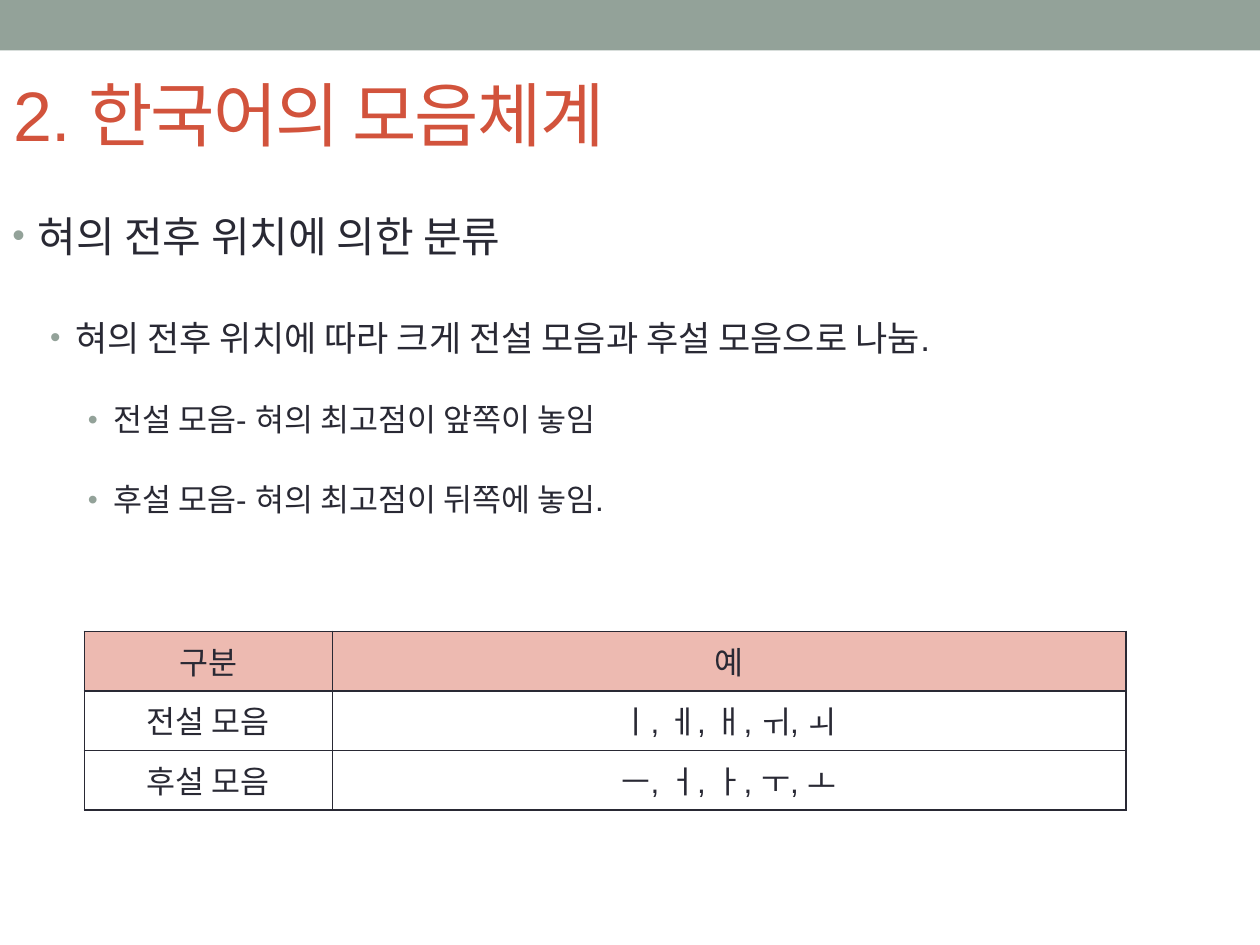
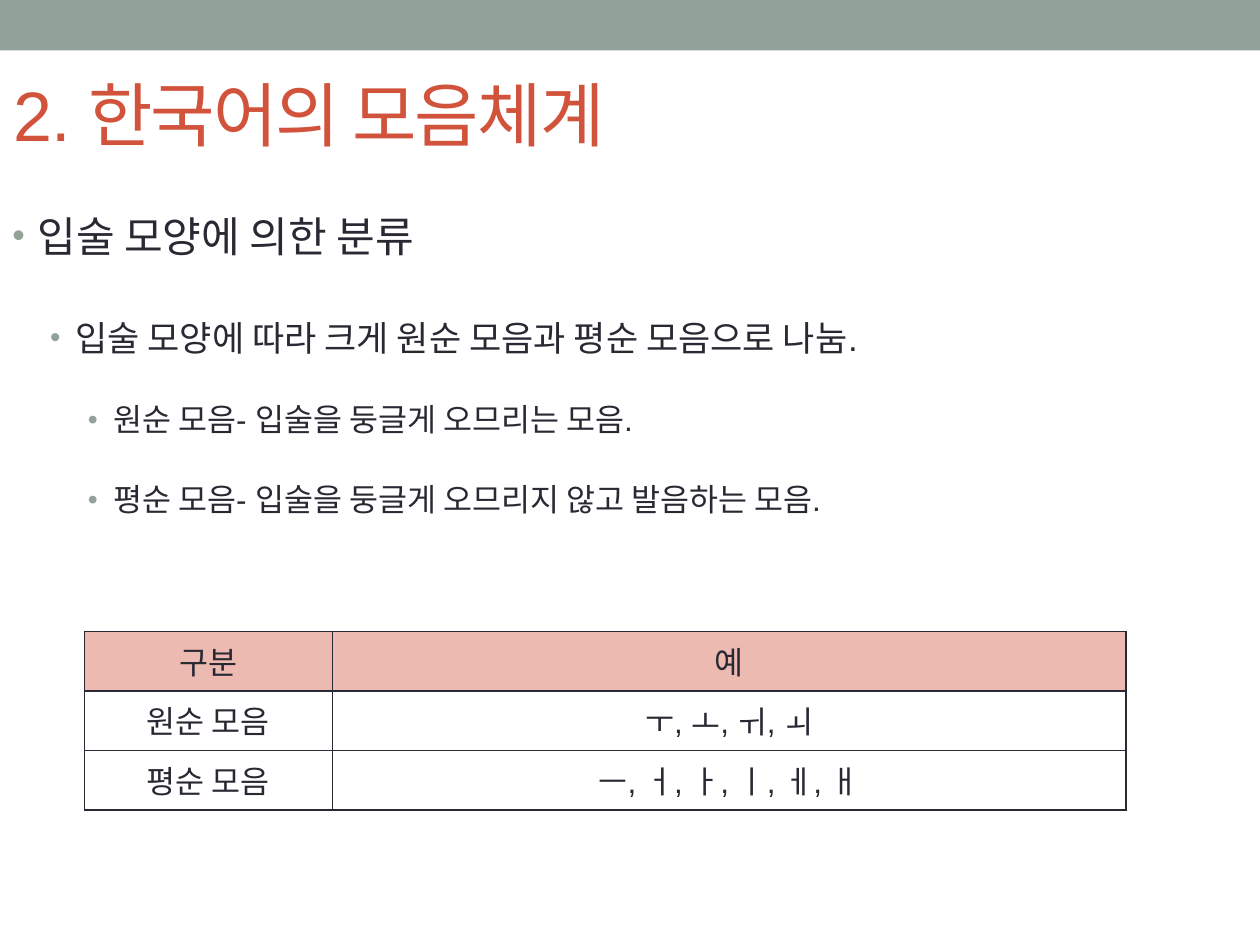
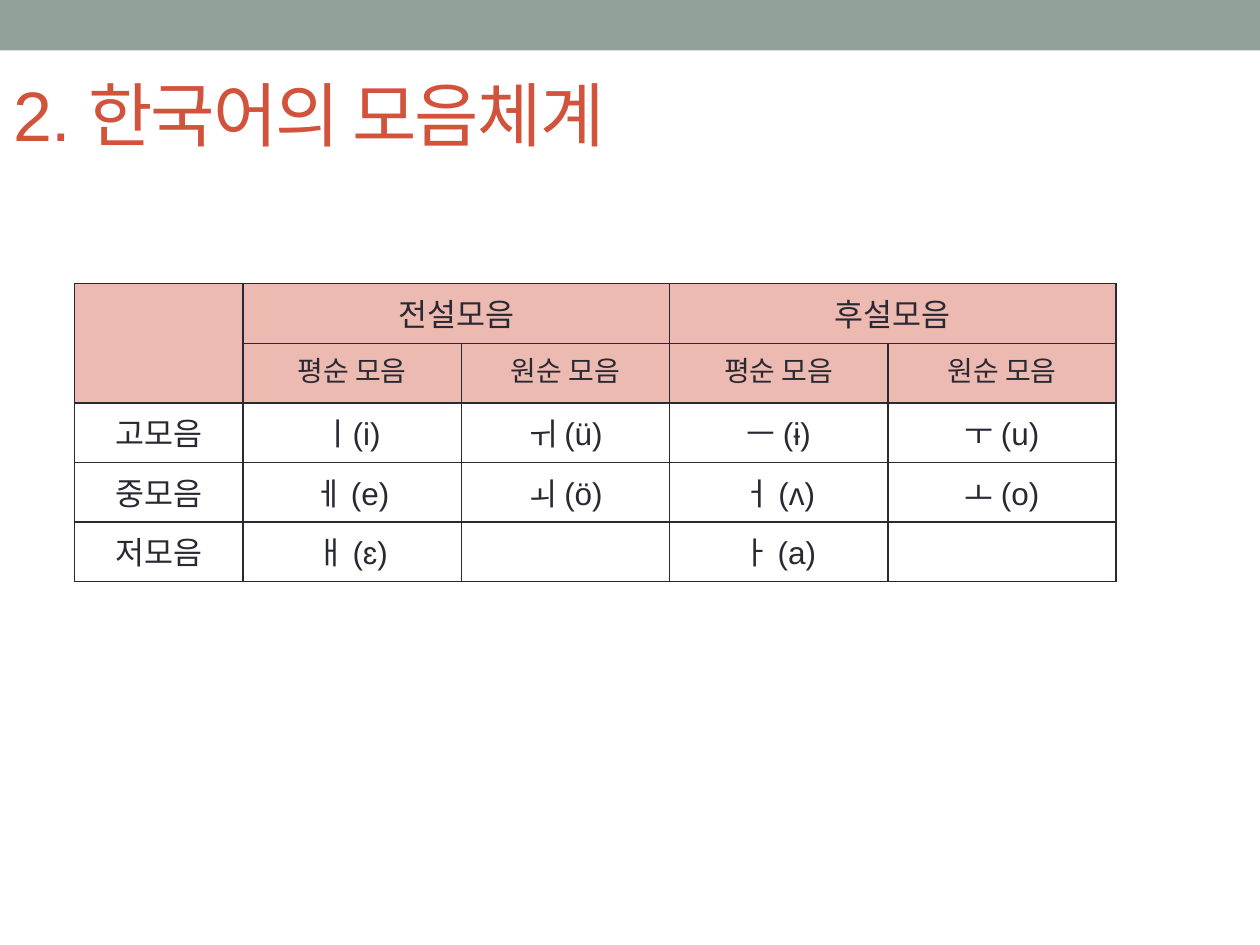
"""Build three slides on the vowel system of Korean."""
import pptx
import pptx.util
import pptx.dml.color
import pptx.enum.shapes
import pptx.enum.text
import pptx.oxml
import pptx.oxml.ns

COLORS = {"band": "93A299", "title": "D2533C", "ink": "292934", "header": "EDBAB1"}
FONT = "Arial"
TITLE = "2. 한국어의 모음체계"
LEVELS = [
    {"size": 24, "indent": 0.51, "bullet": 85, "before": 0},
    {"size": 20, "indent": 1.27, "bullet": 85, "before": 32},
    {"size": 18, "indent": 2.03, "bullet": 90, "before": 24},
]
HANGING = 0.51
ROW_HEIGHT = 1.2

CLASSIFICATIONS = [
    (
        [
            (0, "혀의 전후 위치에 의한 분류"),
            (1, "혀의 전후 위치에 따라 크게 전설 모음과 후설 모음으로 나눔."),
            (2, "전설 모음- 혀의 최고점이 앞쪽이 놓임"),
            (2, "후설 모음- 혀의 최고점이 뒤쪽에 놓임."),
        ],
        [["구분", "예"], ["전설 모음", "ㅣ, ㅔ, ㅐ, ㅟ, ㅚ"], ["후설 모음", "ㅡ, ㅓ, ㅏ, ㅜ, ㅗ"]],
    ),
    (
        [
            (0, "입술 모양에 의한 분류"),
            (1, "입술 모양에 따라 크게 원순 모음과 평순 모음으로 나눔."),
            (2, "원순 모음- 입술을 둥글게 오므리는 모음."),
            (2, "평순 모음- 입술을 둥글게 오므리지 않고 발음하는 모음."),
        ],
        [["구분", "예"], ["원순 모음", "ㅜ, ㅗ, ㅟ, ㅚ"], ["평순 모음", "ㅡ, ㅓ, ㅏ, ㅣ, ㅔ, ㅐ"]],
    ),
]
VOWEL_CHART = [
    ["", "전설모음", "", "후설모음", ""],
    ["", "평순 모음", "원순 모음", "평순 모음", "원순 모음"],
    ["고모음", "ㅣ(i)", "ㅟ (ü)", "ㅡ (ɨ)", "ㅜ (u)"],
    ["중모음", "ㅔ (e)", "ㅚ (ö)", "ㅓ (ʌ)", "ㅗ (o)"],
    ["저모음", "ㅐ (ɛ)", "", "ㅏ (a)", ""],
]


def rgb(name):
    """Return the named colour."""
    return pptx.dml.color.RGBColor.from_string(COLORS[name])


def add_xml(parent, tag, attributes="", content=""):
    """Append an element in the drawing namespace."""
    namespace = pptx.oxml.ns.nsdecls("a")
    parent.append(pptx.oxml.parse_xml(
        f"<a:{tag} {namespace} {attributes}>{content}</a:{tag}>"))


def style(paragraph, size, color="ink"):
    """Format every run of a paragraph."""
    for run in paragraph.runs:
        run.font.name = FONT
        run.font.size = pptx.util.Pt(size)
        run.font.color.rgb = rgb(color)


def add_text_frame(slide, *box):
    """Add a wrapping text box, given in centimetres, and return its frame."""
    frame = slide.shapes.add_textbox(*map(pptx.util.Cm, box)).text_frame
    frame.word_wrap = True
    return frame


def add_base_slide(deck):
    """Add a slide with the shared band and title."""
    slide = deck.slides.add_slide(deck.slide_layouts[6])
    band = slide.shapes.add_shape(
        pptx.enum.shapes.MSO_SHAPE.RECTANGLE, 0, 0, deck.slide_width, pptx.util.Cm(1.02))
    band.shadow.inherit = False
    band.fill.solid()
    band.fill.fore_color.rgb = rgb("band")
    band.line.fill.background()
    heading = add_text_frame(slide, 0.03, 0.91, 22.86, 2.74)
    heading.vertical_anchor = pptx.enum.text.MSO_ANCHOR.MIDDLE
    heading.text = TITLE
    style(heading.paragraphs[0], 40, "title")
    heading.paragraphs[0].runs[0].font._element.set("spc", "-100")
    return slide


def add_outline(slide, points):
    """Add the bulleted points, each a level and a sentence."""
    outline = add_text_frame(slide, 0, 4.11, 25.4, 14.61)
    outline.text = "\n".join(sentence for _, sentence in points)
    for paragraph, (depth, _) in zip(outline.paragraphs, points):
        level = LEVELS[depth]
        paragraph.level = depth
        paragraph.space_before = pptx.util.Pt(level["before"])
        style(paragraph, level["size"])
        properties = paragraph._p.get_or_add_pPr()
        properties.set("marL", str(pptx.util.Cm(level["indent"])))
        properties.set("indent", str(-pptx.util.Cm(HANGING)))
        add_xml(properties, "buClr", content=f'<a:srgbClr val="{COLORS["band"]}"/>')
        add_xml(properties, "buSzPct", f'val="{level["bullet"] * 1000}"')
        add_xml(properties, "buFont", f'typeface="{FONT}"')
        add_xml(properties, "buChar", 'char="•"')


def style_cell(cell, size, is_header):
    """Centre a cell's text and set its borders and fill."""
    paragraph = cell.text_frame.paragraphs[0]
    paragraph.alignment = pptx.enum.text.PP_ALIGN.CENTER
    style(paragraph, size)
    properties = cell._tc.get_or_add_tcPr()
    ink = f'<a:solidFill><a:srgbClr val="{COLORS["ink"]}"/></a:solidFill>'
    for side in "LRTB":
        add_xml(properties, f"ln{side}", f'w="{pptx.util.Pt(1)}"', ink)
    if is_header:
        cell.fill.solid()
        cell.fill.fore_color.rgb = rgb("header")
    else:
        cell.fill.background()


def add_grid(slide, left, top, widths, rows, header_sizes):
    """Add a bordered table with one text size per header row."""
    box = (left, top, sum(widths), ROW_HEIGHT * len(rows))
    grid = slide.shapes.add_table(
        len(rows), len(widths), *map(pptx.util.Cm, box)).table
    for column, width in zip(grid.columns, widths):
        column.width = pptx.util.Cm(width)
    for r, entries in enumerate(rows):
        grid.rows[r].height = pptx.util.Cm(ROW_HEIGHT)
        is_header = r < len(header_sizes)
        for c, entry in enumerate(entries):
            cell = grid.cell(r, c)
            cell.text = entry
            style_cell(cell, header_sizes[r] if is_header else 18, is_header)
    return grid


def main():
    """Build and save the presentation."""
    deck = pptx.Presentation()
    deck.slide_width, deck.slide_height = pptx.util.Cm(25.4), pptx.util.Cm(19.05)
    for points, examples in CLASSIFICATIONS:
        slide = add_base_slide(deck)
        add_outline(slide, points)
        add_grid(slide, 1.7, 12.73, [5, 16], examples, [18])
    vowels = add_grid(add_base_slide(deck), 1.5, 5.72,
                      [3.4, 4.4, 4.2, 4.4, 4.6], VOWEL_CHART, [18, 16])
    vowels.cell(0, 0).merge(vowels.cell(1, 0))
    for first in (1, 3):
        vowels.cell(0, first).merge(vowels.cell(0, first + 1))
    deck.save("out.pptx")


main()
